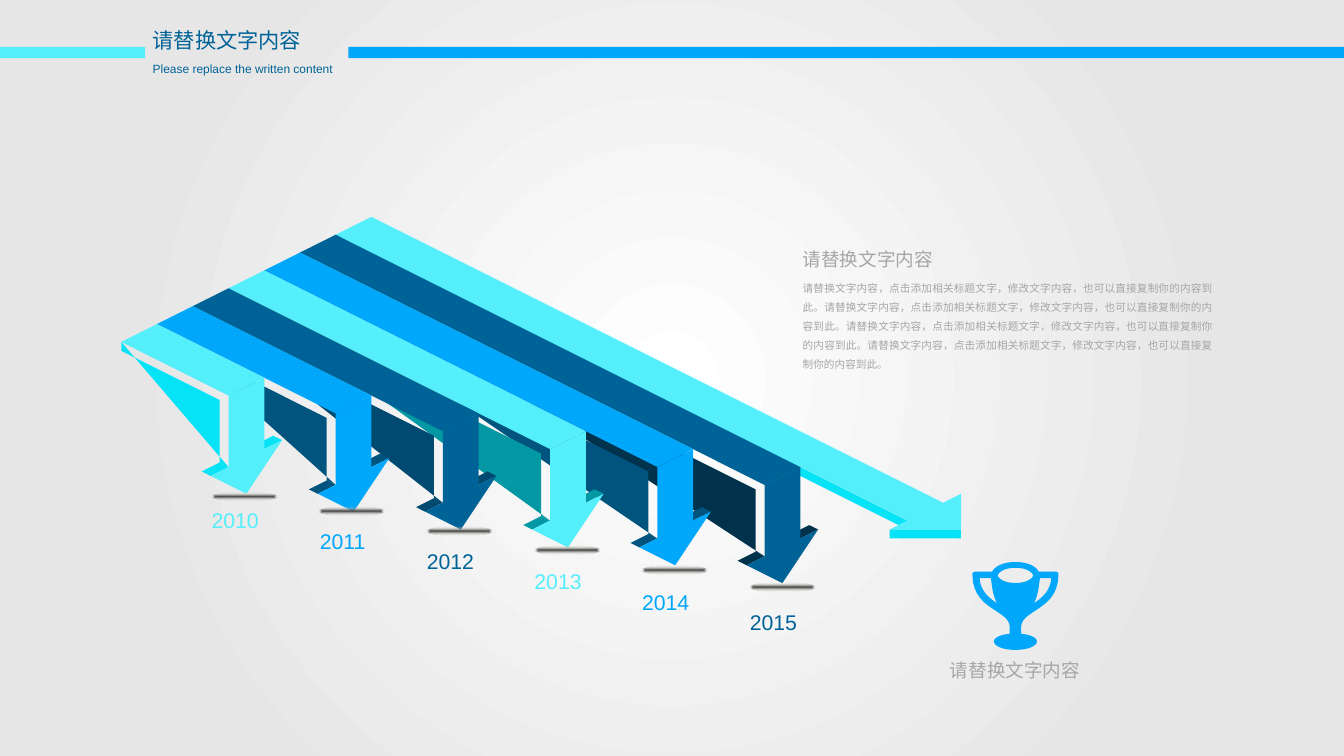
from lxml import etree
from pptx import Presentation
from pptx.dml.color import RGBColor
from pptx.enum import shapes, text
from pptx.oxml import ns
from pptx.util import Pt

CYAN, BLUE, NAVY, GREY = "55EEFB", "00A7FB", "006397", "A6A6A6"
BRIGHT = "06E3F6"
CENTER, LEFT, JUSTIFY = text.PP_ALIGN.CENTER, text.PP_ALIGN.LEFT, text.PP_ALIGN.JUSTIFY


def paint(shape, color):
    shape.shadow.inherit = False
    shape.fill.solid()
    shape.fill.fore_color.rgb = RGBColor.from_string(color)
    shape.line.fill.background()


def radial(fill, element, kind, stops):
    """Fill with a gradient running outwards from the centre."""
    fill.gradient()
    gradient = element.find(".//" + ns.qn("a:gradFill"))
    for child in list(gradient):
        gradient.remove(child)
    stop_list = etree.SubElement(gradient, ns.qn("a:gsLst"))
    for position, color, opacity in stops:
        stop = etree.SubElement(stop_list, ns.qn("a:gs"), pos=str(position * 1000))
        tint = etree.SubElement(stop, ns.qn("a:srgbClr"), val=color)
        if opacity < 100:
            etree.SubElement(tint, ns.qn("a:alpha"), val=str(opacity * 1000))
    focus = etree.SubElement(gradient, ns.qn("a:path"), path=kind)
    etree.SubElement(focus, ns.qn("a:fillToRect"), dict.fromkeys("ltrb", "50000"))


presentation = Presentation()
presentation.slide_width, presentation.slide_height = Pt(1012.5), Pt(569.5)
slide = presentation.slides.add_slide(presentation.slide_layouts[6])
radial(slide.background.fill, slide._element, "circle",
       [(0, "FFFFFF", 100), (73, "E6E6E6", 100)])

# Isometric grid: one band is one step wide
STEP_X, STEP_Y = 26.92, 13.46
ORIGIN_X, ORIGIN_Y = 91.4, 257.6
years = [("2010", CYAN, BRIGHT), ("2011", BLUE, "00547E"), ("2012", NAVY, "004A71"),
         ("2013", CYAN, "0498A4"), ("2014", BLUE, "00547E"), ("2015", NAVY, "00324C")]

# Faces in grid steps: (colour, band index, corners), back to front
faces = [
    (BRIGHT, 6, [(0, 0), (0, 0.5), (16, 16.5), (16, 16)]),
    (CYAN, 6, [(0, 0), (1, -1), (17, 15), (17.5, 14.5), (17.5, 16.5), (15.5, 16.5), (16, 16)]),
]
for band in reversed(range(len(years))):
    year, color, side = years[band]
    fold = 3 + 2 * band
    strip = [(0, 0), (1, -1), (fold + 1, fold - 1), (fold, fold)]
    edge = [(0, 0), (0, 0.5), (fold - 0.25, fold + 0.25),
            (fold - 0.25, fold + 3.75), (fold, fold + 4)]
    faces += [(color, band, strip), (side, band, edge)]
    for face_color, corners in [
        (side, [(0, 4), (-0.25, 3.75), (-0.75, 4.25), (-0.5, 4.5)]),
        (side, [(1.5, 2.5), (1.25, 2.25), (0.75, 2.75), (1, 3)]),
        (color, [(1, 3), (1, -1), (0, 0), (0, 4), (-0.5, 4.5), (0.5, 5.5), (1.5, 2.5)]),
    ]:
        faces.append((face_color, band, [(fold + x, fold + y) for x, y in corners]))

outlines = []
for color, band, corners in faces:
    outlines.append((color, [[(ORIGIN_X + (band + x) * STEP_X, ORIGIN_Y + (y - band) * STEP_Y)
                              for x, y in corners]]))

# Trophy: right half as cubic curves around its axis, then mirrored
AXIS_X, TROPHY_TOP = 765, 423.4
cup = [(0, 0), (10.4, 0), (15.5, 3.6), (17.6, 7.2), (17.6, 7.2), (29.9, 7.2), (29.9, 7.2),
       (31.3, 7.2), (32.4, 7.9), (32.4, 9.4), (32.4, 25.2), (22.7, 31.7), (14.8, 36.7),
       (8.3, 41), (4.3, 43.9), (4.3, 49), (4.3, 49), (4.3, 54), (4.3, 54),
       (11.2, 54.7), (16.2, 56.9), (16.2, 59.8), (16.2, 63.4), (9, 66.2), (0, 66.2)]
rim = [(0, 4.3), (9.7, 4.3), (13.3, 8.6), (13.3, 10.1), (13.3, 11.5), (9.7, 15.8), (0, 15.8)]
handle = [(14, 31), (16.2, 26.6), (17.6, 20.9), (18.4, 12.2), (18.4, 12.2), (27, 12.2),
          (27, 12.2), (26.3, 21.6), (20.5, 26.6), (14, 31)]
contours = []
for curve, spans_axis in [(cup, True), (rim, True), (handle, False)]:
    half = [curve[0]]
    for start in range(0, len(curve) - 1, 3):
        for t in [n / 8 for n in range(1, 9)]:
            weights = ((1 - t) ** 3, 3 * t * (1 - t) ** 2, 3 * t * t * (1 - t), t ** 3)
            controls = curve[start:start + 4]
            half.append(tuple(sum(w * point[k] for w, point in zip(weights, controls))
                              for k in (0, 1)))
    mirrored = [(-x, y) for x, y in reversed(half)]
    for contour in [half + mirrored] if spans_axis else [half, mirrored]:
        contours.append([(AXIS_X + x, TROPHY_TOP + y) for x, y in contour])
outlines.append((BLUE, contours))

for color, contours in outlines:
    builder = None
    for contour in contours:
        points = [(Pt(x), Pt(y)) for x, y in contour]
        if builder is None:
            builder = slide.shapes.build_freeform(*points[0])
        else:
            builder.move_to(*points[0])
        builder.add_line_segments(points[1:], close=True)
    paint(builder.convert_to_shape(), color)

# Arrowhead front and header bars
for color, left, top, width, height in [
    (BRIGHT, ORIGIN_X + 21.5 * STEP_X, ORIGIN_Y + 10.5 * STEP_Y, 2 * STEP_X, STEP_Y / 2),
    (BLUE, 262.5, 35.3, 750, 8.5),
    (CYAN, 0, 35.3, 109.3, 8.5),
]:
    bar = slide.shapes.add_shape(shapes.MSO_SHAPE.RECTANGLE,
                                 Pt(left), Pt(top), Pt(width), Pt(height))
    paint(bar, color)

# Shadows under the year arrows
for index, top in enumerate([370.8, 381.6, 396.7, 411.1, 426.2, 439.2]):
    shadow = slide.shapes.add_shape(shapes.MSO_SHAPE.OVAL, Pt(159.2 + 81.05 * index), Pt(top),
                                    Pt(49.7), Pt(6.5))
    paint(shadow, "404040")
    radial(shadow.fill, shadow._element, "shape", [(0, "404040", 100), (100, "EEECE1", 0)])

# Text: (words, left, top, width, height, size, colour, alignment, wraps, line spacing)
heading = "请替换文字内容"
sentence = "请替换文字内容，点击添加相关标题文字，修改文字内容，也可以直接复制你的内容到此。"
labels = [
    (heading, 108, 17.3, 127.4, 26.6, 16, NAVY, LEFT, False, 1),
    ("Please replace the written content", 108, 42.5, 151.2, 18, 9, NAVY, LEFT, False, 1),
    (heading, 597.6, 183.6, 113.8, 24.5, 14, GREY, JUSTIFY, False, 1),
    (sentence * 4, 597.6, 203.8, 323.3, 79.9, 8, GREY, JUSTIFY, True, 1.5),
    (heading, 708.5, 492.5, 113.8, 24.5, 14, GREY, JUSTIFY, False, 1),
]
for index, (year, color, side) in enumerate(years):
    labels.append((year, 151.9 + 81.1 * index, 378.7 + 15.4 * index, 50.4, 26.6,
                   16, color, CENTER, False, 1))

for words, left, top, width, height, size, color, alignment, wraps, spacing in labels:
    box = slide.shapes.add_textbox(Pt(left), Pt(top), Pt(width), Pt(height))
    frame = box.text_frame
    paragraph = frame.paragraphs[0]
    run = paragraph.add_run()
    run.text = words
    run.font.color.rgb = RGBColor.from_string(color)
    formats = [
        (frame, {"word_wrap": wraps, "auto_size": text.MSO_AUTO_SIZE.SHAPE_TO_FIT_TEXT}),
        (paragraph, {"alignment": alignment, "line_spacing": spacing}),
        (run.font, {"name": "Arial", "size": Pt(size)}),
    ]
    for target, values in formats:
        for attribute, value in values.items():
            setattr(target, attribute, value)

presentation.save("out.pptx")
